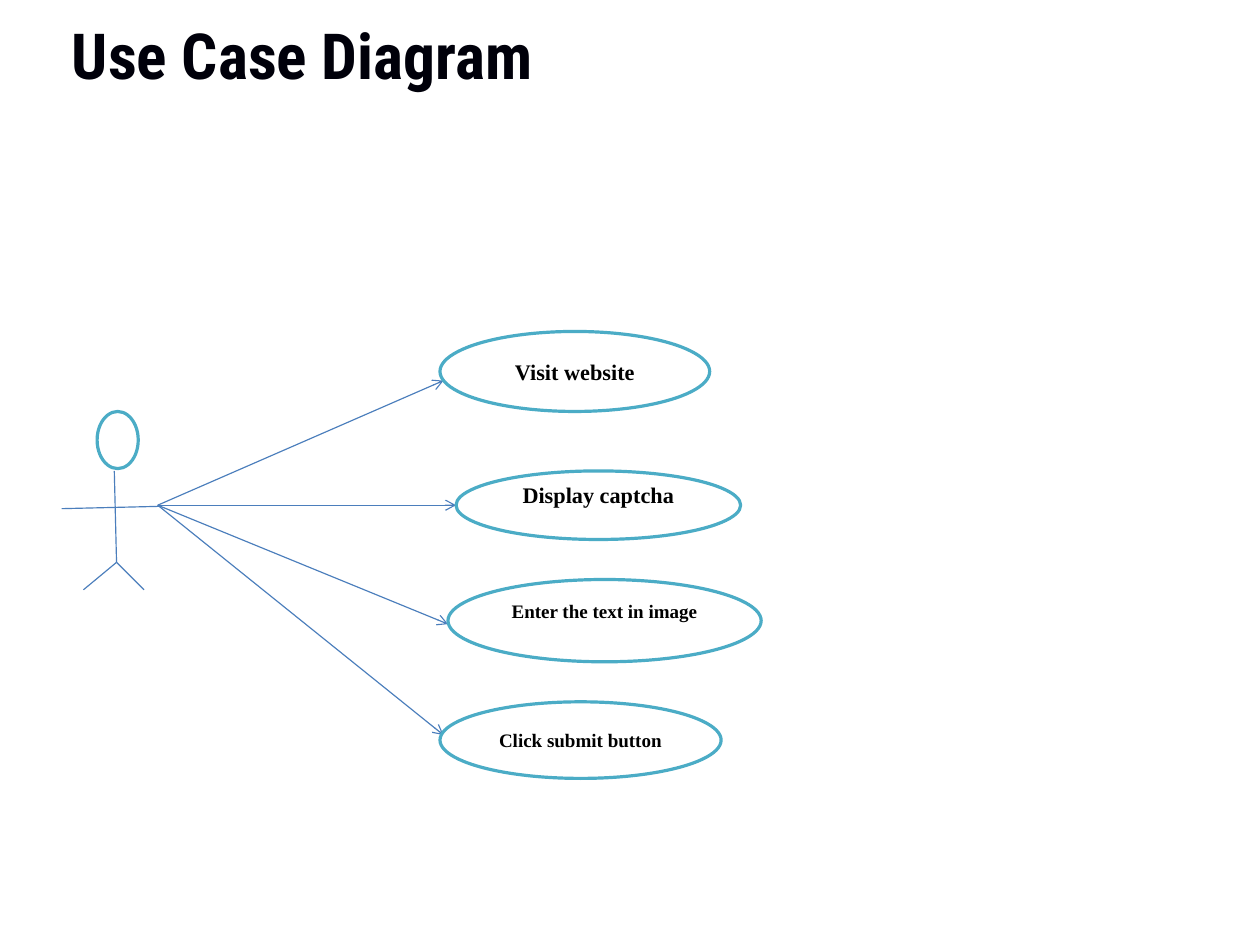
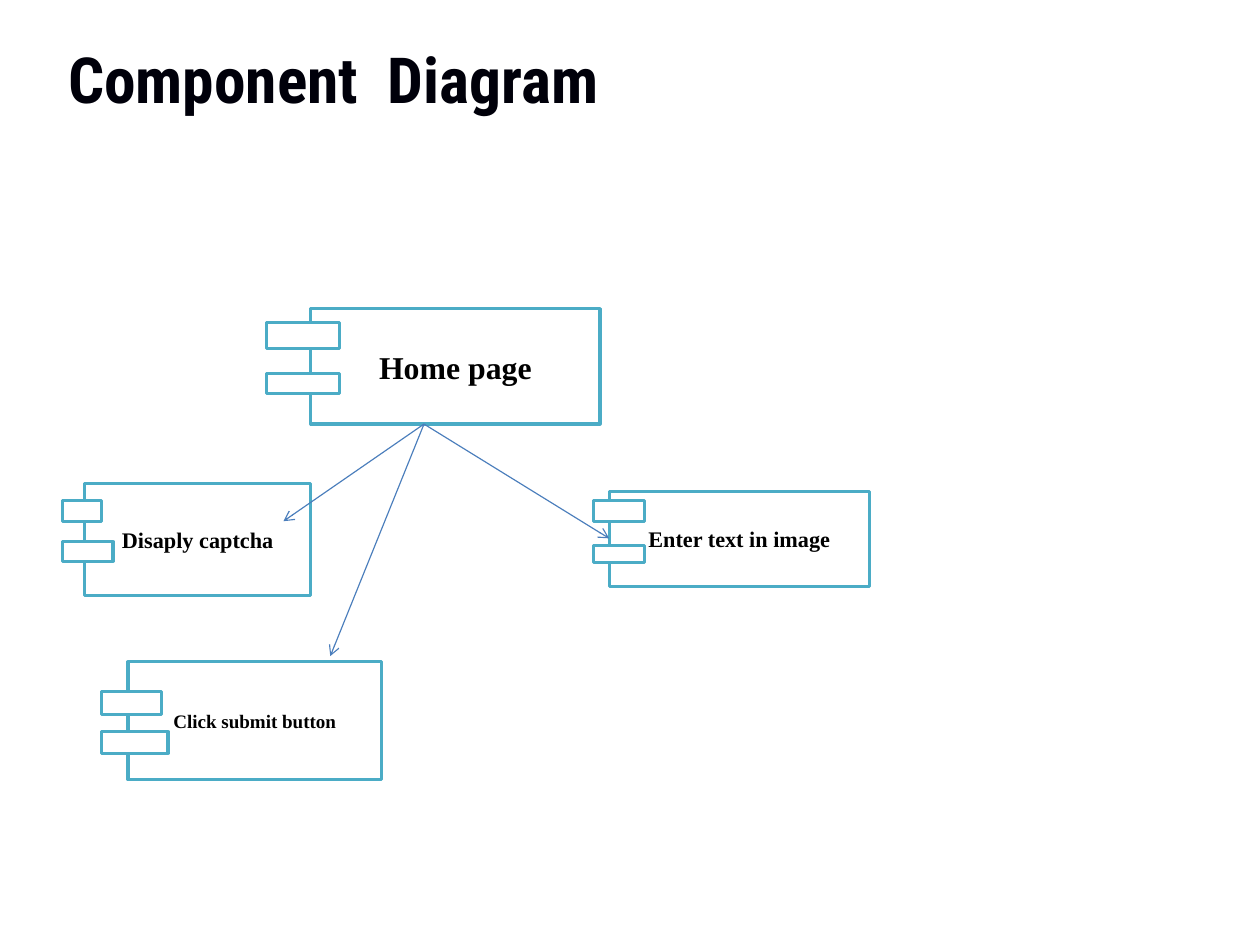
from lxml.etree import SubElement
from pptx import Presentation
from pptx.dml.color import RGBColor
from pptx.enum.shapes import MSO_CONNECTOR, MSO_SHAPE
from pptx.enum.text import MSO_ANCHOR, PP_ALIGN
from pptx.oxml.ns import qn
from pptx.util import Emu, Inches, Pt

# Shared look: lengths count grid cells, a tenth of an inch each
SLIDE_WIDTH, SLIDE_HEIGHT = Emu(10080625), Emu(7559675)
COLORS = {"title": "00000A", "text": "000000", "paper": "FFFFFF",
          "outline": "4BACC6", "arrow": "4B7EBC"}
TITLE_FONT = {"name": "Roboto Condensed", "size": Pt(40), "bold": True}
LABEL_FONT = {"name": "Times New Roman", "bold": True}
OUTLINE_WIDTH, ARROW_WIDTH = Pt(2), Pt(0.75)

# Use case: box, label, text size, rows kept free below the text, arrow tip
HAND = (13.8, 44.2)
USE_CASES = [
    ((38.5, 29, 23.6, 7), "Visit website", 14, 0, (38.8, 33.3)),
    ((39.9, 41.2, 24.9, 6), "Display captcha", 14, 1.8, (39.9, 44.2)),
    ((39.2, 50.7, 27.4, 7.2), "Enter the text in image", 12, 1.8, (39.2, 54.6)),
    ((38.5, 61.4, 24.6, 6.7), "Click submit button", 12, 0, (38.8, 64.3)),
]

# Component: box, label, text size, tabs measured from the box's corner
COMPONENTS = [
    ((27.2, 27, 25.3, 10.1), "Home page", 20,
     [(-3.9, 1.2, 6.4, 2.3), (-3.9, 5.7, 6.4, 1.7)]),
    ((7.4, 42.3, 19.8, 9.8), "Disaply captcha", 14,
     [(-1.9, 1.5, 3.4, 1.8), (-1.9, 5.1, 4.4, 1.7)]),
    ((53.3, 43, 22.8, 8.3), "Enter text in image", 14,
     [(-1.4, 0.8, 4.5, 1.8), (-1.4, 4.7, 4.5, 1.5)]),
    ((11.2, 57.9, 22.2, 10.3), "Click submit button", 12,
     [(-2.3, 2.6, 5.2, 2), (-2.3, 6.1, 5.8, 1.9)]),
]
HOME_EXIT = (37.1, 37.1)
COMPONENT_TIPS = [(24.8, 45.6), (28.9, 57.4), (53.3, 47.1)]


def color(name):
    return RGBColor.from_string(COLORS[name])


def cells(*counts):
    return [Inches(count / 10) for count in counts]


def shifted(box, left, top):
    """Move a box or point from its parent's corner to the slide."""
    return (box[0] + left, box[1] + top, *box[2:])


def write(frame, text, font_values, color_name, align):
    paragraph = frame.paragraphs[0]
    paragraph.alignment = align
    run = paragraph.add_run()
    run.text = text
    for attribute, value in font_values.items():
        setattr(run.font, attribute, value)
    run.font.color.rgb = color(color_name)
    return paragraph


def add_title(slide, box, text, indent, align):
    frame = slide.shapes.add_textbox(*cells(*box)).text_frame
    margins = {"margin_left": cells(indent)[0], "margin_top": 0,
               "margin_right": 0, "margin_bottom": 0, "word_wrap": True}
    for attribute, value in margins.items():
        setattr(frame, attribute, value)
    paragraph = write(frame, text, TITLE_FONT, "title", align)
    paragraph.space_after = Pt(14.2)


def add_outlined(slide, kind, box, label=None, size=12, free_below=0):
    shape = slide.shapes.add_shape(kind, *cells(*box))
    shape.shadow.inherit = False
    shape.fill.solid()
    shape.fill.fore_color.rgb = color("paper")
    shape.line.color.rgb = color("outline")
    shape.line.width = OUTLINE_WIDTH
    if label:
        frame = shape.text_frame
        frame.word_wrap = True
        frame.vertical_anchor = MSO_ANCHOR.MIDDLE
        if free_below:
            frame.margin_top, frame.margin_bottom = cells(0, free_below)
        write(frame, label, {**LABEL_FONT, "size": Pt(size)}, "text",
              PP_ALIGN.CENTER)


def add_line(slide, start, end, arrow=False):
    connector = slide.shapes.add_connector(
        MSO_CONNECTOR.STRAIGHT, *cells(*start, *end))
    connector.line.color.rgb = color("arrow")
    connector.line.width = ARROW_WIDTH
    properties = connector._element.spPr
    if arrow:
        SubElement(properties.find(qn("a:ln")), qn("a:tailEnd"), type="arrow")
    SubElement(properties, qn("a:effectLst"))


def add_arrows(slide, start, tips):
    for tip in tips:
        add_line(slide, start, tip, arrow=True)


def add_actor(slide, left, top):
    add_outlined(slide, MSO_SHAPE.OVAL, shifted((3.1, 0, 3.6, 5), left, top))
    hip = (4.8, 13.2)
    limbs = [((4.6, 5.2), hip),         # body
             ((0, 8.5), (8.5, 8.3)),    # arms
             (hip, (1.9, 15.6)),        # legs
             (hip, (7.2, 15.6))]
    for start, end in limbs:
        add_line(slide, shifted(start, left, top), shifted(end, left, top))


def add_component(slide, box, label, size, tabs):
    add_outlined(slide, MSO_SHAPE.RECTANGLE, box, label, size)
    for tab in tabs:
        add_outlined(slide, MSO_SHAPE.RECTANGLE, shifted(tab, *box[:2]))


def build_use_cases(slide):
    add_title(slide, (1.2, 1.4, 60, 8), "Use Case Diagram", 5.1, PP_ALIGN.LEFT)
    add_actor(slide, 5.4, 36)
    add_arrows(slide, HAND, [use_case[-1] for use_case in USE_CASES])
    for box, label, size, free_below, _ in USE_CASES:
        add_outlined(slide, MSO_SHAPE.OVAL, box, label, size, free_below)


def build_components(slide):
    add_title(slide, (2, 3.5, 53.1, 9.1), "Component  Diagram", 1.2,
              PP_ALIGN.CENTER)
    for component in COMPONENTS:
        add_component(slide, *component)
    add_arrows(slide, HOME_EXIT, COMPONENT_TIPS)


def main():
    presentation = Presentation()
    presentation.slide_width = SLIDE_WIDTH
    presentation.slide_height = SLIDE_HEIGHT
    blank = presentation.slide_layouts[6]
    for build in (build_use_cases, build_components):
        build(presentation.slides.add_slide(blank))
    presentation.save("out.pptx")


if __name__ == "__main__":
    main()
